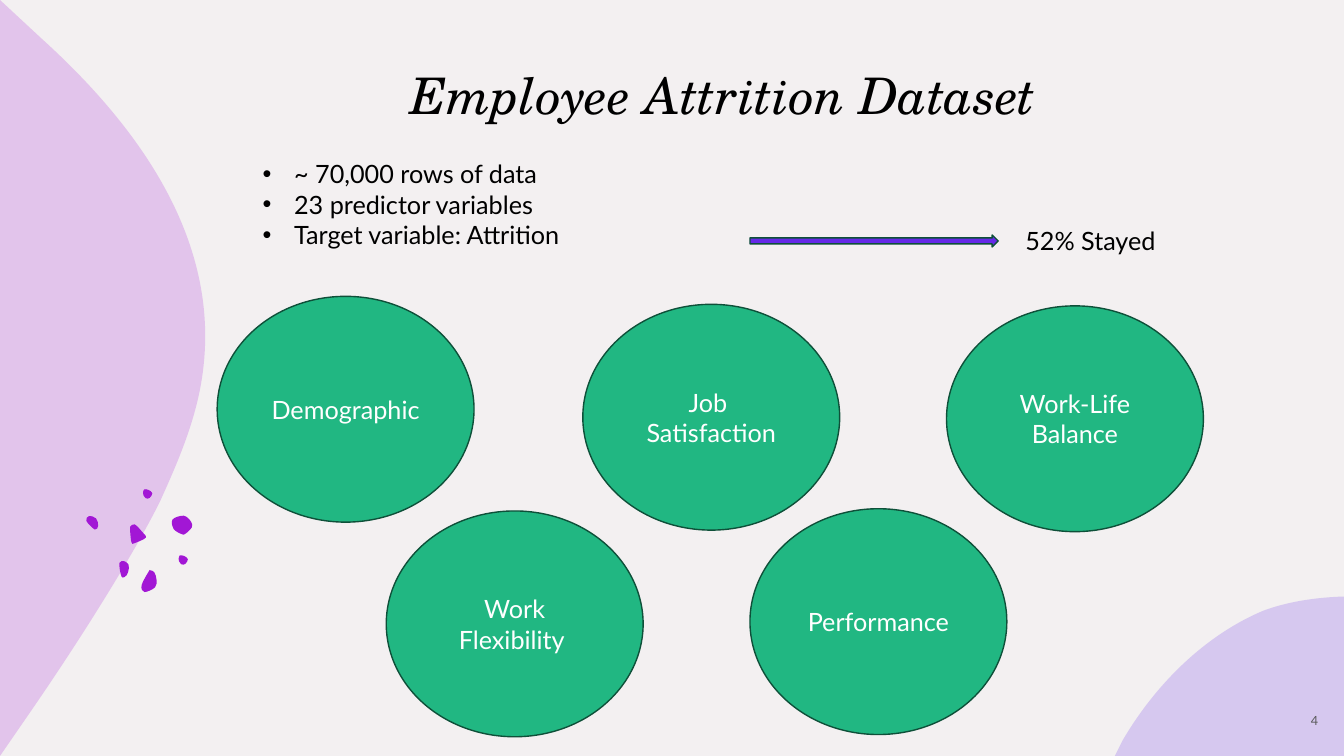
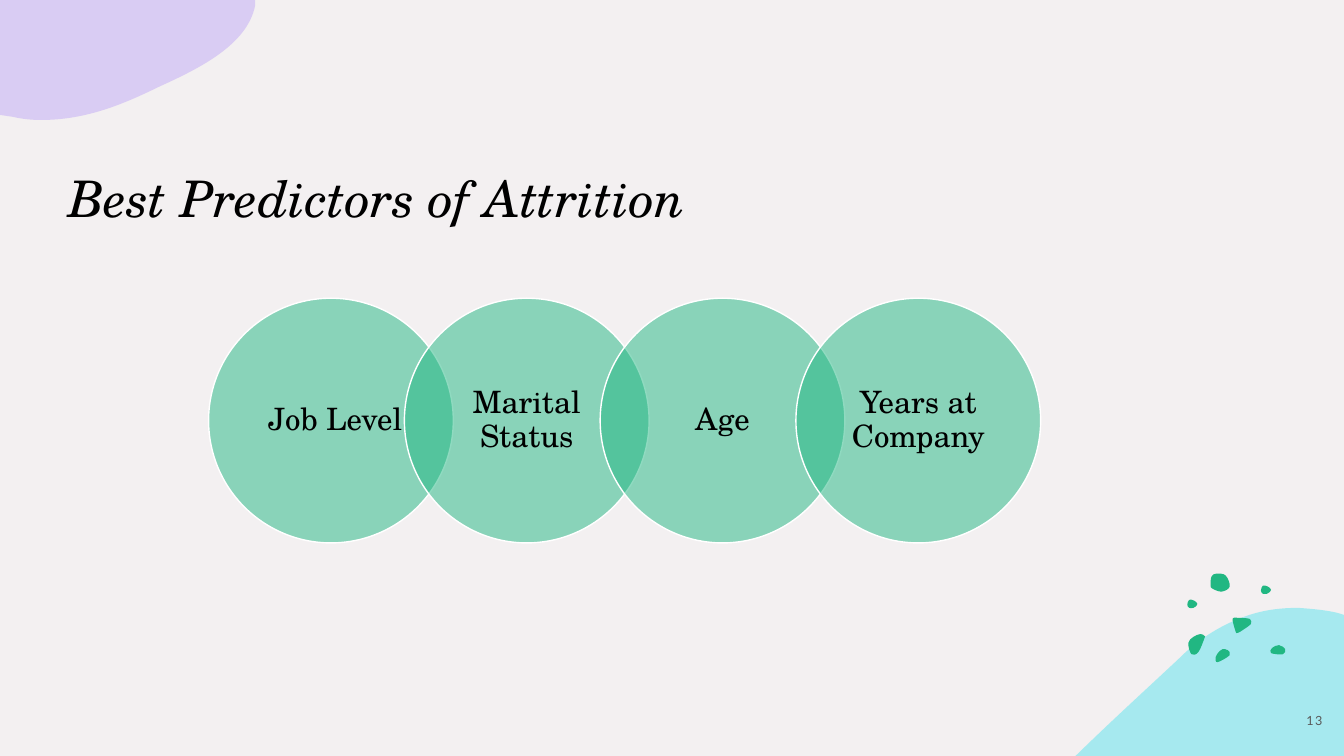
import math
from dataclasses import dataclass

import lxml.etree
import pptx
import pptx.dml.color
import pptx.enum.shapes
import pptx.enum.text
import pptx.oxml.ns
import pptx.presentation
import pptx.shapes.autoshape
import pptx.slide
import pptx.text.text
import pptx.util

Pt = pptx.util.Pt
qn = pptx.oxml.ns.qn
Align = pptx.enum.text.PP_ALIGN
Anchor = pptx.enum.text.MSO_ANCHOR
Fit = pptx.enum.text.MSO_AUTO_SIZE
Preset = pptx.enum.shapes.MSO_SHAPE
Shape = pptx.shapes.autoshape.Shape
Point = tuple[float, float]

COLORS = {
    "paper": "F3F0F1",
    "ink": "000000",
    "white": "FFFFFF",
    "grey": "595959",
    "green": "21B782",
    "dark green": "0E5039",
    "purple": "A217D5",
    "violet": "6529E7",
    "lilac": "C1A9F5",
    "cyan": "5BE4EE",
}
BODY_FONT = "Lato"
DISPLAY_FONT = "TeX Gyre Schola"
SLIDE_WIDTH, SLIDE_HEIGHT = 960, 540


@dataclass(frozen=True)
class Box:
    left: float
    top: float
    width: float
    height: float

    def lengths(self) -> tuple[pptx.util.Length, ...]:
        return Pt(self.left), Pt(self.top), Pt(self.width), Pt(self.height)


@dataclass(frozen=True)
class TextStyle:
    size: float
    color: str
    font: str = BODY_FONT
    italic: bool = False
    align: Align = Align.LEFT
    anchor: Anchor = Anchor.TOP
    line_spacing: float | None = None
    fit: Fit = Fit.NONE


@dataclass(frozen=True)
class Outline:
    """Closed outline of line ends (2 numbers) and Bézier curves (6 numbers)."""
    start: Point
    segments: tuple[tuple[float, ...], ...]


@dataclass(frozen=True)
class Blob:
    color: str
    opacity: int
    outline: Outline


@dataclass(frozen=True)
class Category:
    label: str
    left: float
    top: float


BODY = TextStyle(18, "ink", fit=Fit.SHAPE_TO_FIT_TEXT)
CATEGORY_STYLE = TextStyle(18, "white", align=Align.CENTER, anchor=Anchor.MIDDLE)
PREDICTOR_STYLE = TextStyle(22, "ink", DISPLAY_FONT, align=Align.CENTER,
                            anchor=Anchor.MIDDLE, line_spacing=0.9)
NUMBER_STYLE = TextStyle(9, "grey", align=Align.CENTER, anchor=Anchor.MIDDLE)

LEFT_WAVE = Blob("purple", 20, Outline((0, 0), (
    (29.5, 27.4),
    (90.7, 82.8, 156.2, 163.4, 145.4, 261.4),
    (141.8, 295.9, 128.2, 327.6, 114.5, 357.8),
    (100.8, 385.9, 66.2, 444.2, 19.4, 511.9),
    (0, 540))))
VIOLET_CORNER = Blob("violet", 20, Outline((960, 426.2), (
    (960, 540), (796.3, 540), (802.1, 528.5),
    (825.8, 488.2, 861.1, 453.6, 902.2, 436.3),
    (919.4, 429.8, 938.9, 427, 956.9, 426.2))))
CYAN_CORNER = Blob("cyan", 50, Outline((927.4, 434.2), (
    (936.7, 434.9, 946.1, 435.6, 955.4, 437.8),
    (960, 439.2), (960, 540), (768.2, 540), (769, 539.3),
    (793.4, 515.5, 818.6, 492.5, 841.7, 470.9),
    (857.5, 455, 874.1, 445.7, 890.6, 439.9),
    (902.9, 435.6, 915.1, 434.2, 927.4, 434.2))))
LILAC_CORNER = Blob("lilac", 50, Outline((0, 0), (
    (182.2, 0), (182.2, 4.3),
    (176.4, 31.7, 144, 48.2, 113.8, 61.9),
    (88.6, 74.2, 61.9, 85.7, 29.5, 85.7),
    (22.3, 85.7, 15.8, 85, 9.4, 83.5),
    (0, 82.1))))

# Confetti outlines are measured from the centre of the cluster.
SMALL_DOT = ((17.3, -19.8), (18.7, -23.4), (22.3, -22.7), (24.5, -20.5),
             (23, -18.4), (21.6, -17.6), (18.7, -17.6))
CONFETTI = (
    ((-10.1, 22), (-6.5, 22.7), (-5, 26.3), (-13.7, 31.3), (-15.1, 27.7), (-12.2, 23.4)),
    ((-25.9, 11.2), (-23, 12.6), (-23, 14), (-27.4, 24.1), (-32.4, 25.6),
     (-34.6, 17.6), (-31, 13.3)),
    ((30.2, 19.1), (34.6, 22), (33.1, 25.6), (24.5, 24.8), (25.2, 21.2)),
    ((-18.7, -23.4), (-18, -29.9), (-14.4, -32), (-7.9, -30.6), (-5, -22.7),
     (-10.8, -19.1), (-17.3, -21.2)),
    SMALL_DOT,
    tuple((x - 52.6, y + 10.1) for x, y in SMALL_DOT),
    ((0.7, -0.4), (9.4, 0.4), (10.1, 4), (8.6, 5.4), (2.2, 9.7), (0, 10.4),
     (-0.7, 9.7), (-2.9, 1.8), (-2.2, -0.4)),
)

CATEGORY_WIDTH, CATEGORY_HEIGHT = 183.5, 161.3
CATEGORIES = (
    Category("Demographic", 155.1, 211.7),
    Category("Job \nSatisfaction", 416.3, 217.4),
    Category("Work-Life Balance", 676.1, 218.5),
    Category("Work Flexibility ", 275.9, 365),
    Category("Performance", 535.7, 363.4),
)
DATASET_FACTS = ("~ 70,000 rows of data", "23 predictor variables",
                 "Target variable: Attrition")
PREDICTORS = (" Job Level", "Marital Status", "Age", "Years at Company")
PREDICTOR_LEFT, PREDICTOR_TOP, PREDICTOR_SIZE = 149, 213, 174.8
PREDICTOR_PITCH = 0.8 * PREDICTOR_SIZE


def rgb(name: str) -> pptx.dml.color.RGBColor:
    return pptx.dml.color.RGBColor.from_string(COLORS[name])


def paint(shape: Shape, fill: str, opacity: int = 100, line: str | None = None) -> None:
    shape.shadow.inherit = False
    shape.fill.solid()
    shape.fill.fore_color.rgb = rgb(fill)
    if opacity < 100:
        color = shape._element.spPr.find(qn("a:solidFill"))[0]
        lxml.etree.SubElement(color, qn("a:alpha")).set("val", str(opacity * 1000))
    if line:
        shape.line.color.rgb = rgb(line)
        shape.line.width = Pt(1)
    else:
        shape.line.fill.background()


def write(frame: pptx.text.text.TextFrame, text: str, style: TextStyle) -> None:
    frame.text = text
    frame.word_wrap = True
    frame.auto_size = style.fit
    frame.vertical_anchor = style.anchor
    for paragraph in frame.paragraphs:
        paragraph.alignment = style.align
        paragraph.line_spacing = style.line_spacing
        for run in paragraph.runs:
            run.font.name = style.font
            run.font.size = Pt(style.size)
            run.font.italic = style.italic
            run.font.color.rgb = rgb(style.color)


def add_text(slide: pptx.slide.Slide, box: Box, text: str,
             style: TextStyle) -> pptx.text.text.TextFrame:
    frame = slide.shapes.add_textbox(*box.lengths()).text_frame
    write(frame, text, style)
    return frame


def add_outline(slide: pptx.slide.Slide, outline: Outline) -> Shape:
    """Build a freeform on the segment ends, then bend its curved segments."""
    builder = slide.shapes.build_freeform(*map(Pt, outline.start), scale=1.0)
    builder.add_line_segments([tuple(map(Pt, segment[-2:])) for segment in outline.segments],
                              close=True)
    shape = builder.convert_to_shape()
    lines = list(shape._element.iter(qn("a:lnTo")))
    for line, segment in zip(lines, outline.segments):
        if len(segment) == 6:
            curve = lxml.etree.Element(qn("a:cubicBezTo"))
            for x, y in zip(segment[::2], segment[1::2]):
                point = lxml.etree.SubElement(curve, qn("a:pt"))
                point.set("x", str(Pt(x) - shape.left))
                point.set("y", str(Pt(y) - shape.top))
            line.getparent().replace(line, curve)
    return shape


def add_blob(slide: pptx.slide.Slide, blob: Blob) -> None:
    paint(add_outline(slide, blob.outline), blob.color, blob.opacity)


def smooth_loop(anchors: list[Point]) -> Outline:
    """Closed Catmull-Rom curve through the anchors."""
    segments = []
    count = len(anchors)
    for i, (x, y) in enumerate(anchors):
        before, end, after = (anchors[(i + k) % count] for k in (-1, 1, 2))
        segments.append((x + (end[0] - before[0]) / 6, y + (end[1] - before[1]) / 6,
                         end[0] - (after[0] - x) / 6, end[1] - (after[1] - y) / 6, *end))
    return Outline(anchors[0], tuple(segments))


def add_confetti(slide: pptx.slide.Slide, center: Point, color: str,
                 degrees: float = 0, mirrored: bool = False) -> None:
    """Mirror the cluster if asked, then turn it about its centre."""
    cos, sin = math.cos(math.radians(degrees)), math.sin(math.radians(degrees))
    side = -1 if mirrored else 1
    for dot in CONFETTI:
        anchors = [(center[0] + side * x, center[1] + y) for x, y in dot]
        shape = add_outline(slide, smooth_loop(anchors))
        paint(shape, color)
        dx = shape.left + shape.width / 2 - Pt(center[0])
        dy = shape.top + shape.height / 2 - Pt(center[1])
        shape.left += round(dx * cos - dy * sin - dx)
        shape.top += round(dx * sin + dy * cos - dy)
        shape.rotation = degrees


def add_slide(deck: pptx.presentation.Presentation, title: str, title_box: Box,
              align: Align, anchor: Anchor) -> pptx.slide.Slide:
    slide = deck.slides.add_slide(deck.slide_layouts[5])
    heading = slide.shapes.title
    heading.left, heading.top, heading.width, heading.height = title_box.lengths()
    write(heading.text_frame, title,
          TextStyle(36, "ink", DISPLAY_FONT, True, align, anchor))
    return slide


def add_slide_number(slide: pptx.slide.Slide, number: int) -> None:
    frame = add_text(slide, Box(918, 500.4, 41.8, 28.8), str(number), NUMBER_STYLE)
    frame.paragraphs[0].runs[0]._r.get_or_add_rPr().set("spc", "110")


def add_bullets(frame: pptx.text.text.TextFrame, indent: float) -> None:
    for paragraph in frame.paragraphs:
        properties = paragraph._p.get_or_add_pPr()
        properties.set("marL", str(Pt(indent)))
        properties.set("indent", str(-Pt(indent)))
        font = lxml.etree.SubElement(properties, qn("a:buFont"))
        font.set("typeface", "Arial")
        lxml.etree.SubElement(properties, qn("a:buChar")).set("char", "•")


def add_dataset_slide(deck: pptx.presentation.Presentation) -> None:
    slide = add_slide(deck, "Employee Attrition Dataset", Box(190.8, 42.5, 651.6, 59.8),
                      Align.CENTER, Anchor.TOP)
    add_blob(slide, LEFT_WAVE)
    add_confetti(slide, (102.5, 381.6), "purple", degrees=50.8, mirrored=True)
    add_blob(slide, VIOLET_CORNER)
    add_slide_number(slide, 4)
    for category in CATEGORIES:
        box = Box(category.left, category.top, CATEGORY_WIDTH, CATEGORY_HEIGHT)
        circle = slide.shapes.add_shape(Preset.OVAL, *box.lengths())
        paint(circle, "green", line="dark green")
        write(circle.text_frame, category.label, CATEGORY_STYLE)
    facts = add_text(slide, Box(180.5, 109.8, 384.5, 94.3), "\n".join(DATASET_FACTS), BODY)
    add_bullets(facts, 22.5)
    arrow = slide.shapes.add_shape(Preset.RIGHT_ARROW, *Box(535.7, 167.8, 177.3, 8.6).lengths())
    paint(arrow, "violet", line="dark green")
    add_text(slide, Box(725.3, 157.4, 141.1, 29.1), "52% Stayed", BODY)


def add_predictors_slide(deck: pptx.presentation.Presentation) -> None:
    slide = add_slide(deck, "Best Predictors of Attrition", Box(41.4, 61.9, 793.4, 104.4),
                      Align.LEFT, Anchor.BOTTOM)
    add_blob(slide, CYAN_CORNER)
    add_confetti(slide, (883.4, 441.7), "green")
    add_blob(slide, LILAC_CORNER)
    for i, predictor in enumerate(PREDICTORS):
        box = Box(PREDICTOR_LEFT + i * PREDICTOR_PITCH, PREDICTOR_TOP,
                  PREDICTOR_SIZE, PREDICTOR_SIZE)
        circle = slide.shapes.add_shape(Preset.OVAL, *box.lengths())
        paint(circle, "green", 50, "white")
        write(circle.text_frame, predictor, PREDICTOR_STYLE)
        circle.text_frame.margin_left = circle.text_frame.margin_right = Pt(9.4)
        circle.text_frame.margin_top = circle.text_frame.margin_bottom = Pt(2.2)
    add_slide_number(slide, 13)


def main() -> None:
    deck = pptx.Presentation()
    deck.slide_width, deck.slide_height = Pt(SLIDE_WIDTH), Pt(SLIDE_HEIGHT)
    background = deck.slide_master.background.fill
    background.solid()
    background.fore_color.rgb = rgb("paper")
    add_dataset_slide(deck)
    add_predictors_slide(deck)
    deck.save("out.pptx")


if __name__ == "__main__":
    main()
